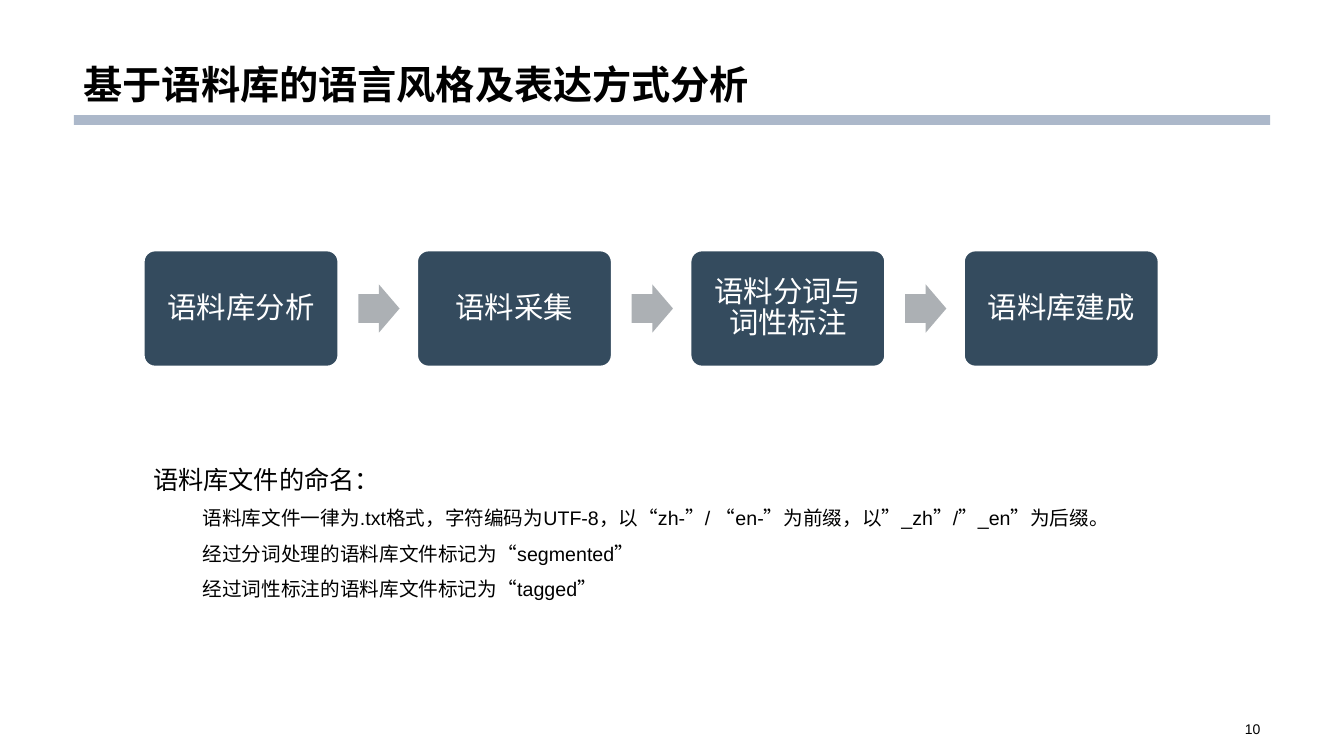
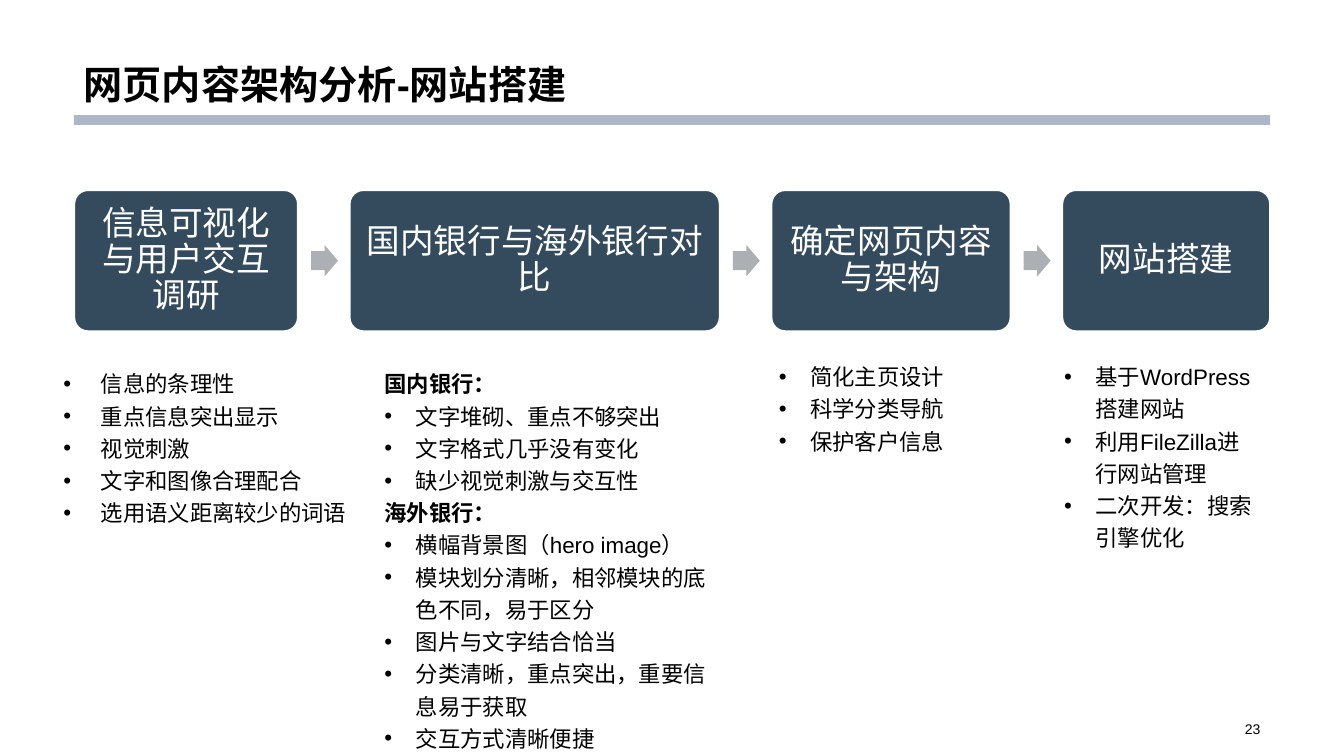
"""Build two process slides on corpus analysis and website construction."""
from lxml.etree import SubElement
from pptx import Presentation
from pptx.dml.color import RGBColor
from pptx.enum.lang import MSO_LANGUAGE_ID
from pptx.enum.shapes import MSO_SHAPE
from pptx.enum.text import MSO_ANCHOR, PP_ALIGN
from pptx.oxml.ns import qn
from pptx.util import Cm, Pt

COLOURS = {"text": "000000", "white": "FFFFFF", "band": "ACB8CA", "step": "344B5E", "arrow": "ACB0B4"}
EDGE, CONTENT_WIDTH = 1.86, 30.15

STYLES = {
    "title": {"font": {"size": Pt(28), "bold": True}, "paragraph": {"line_spacing": 0.9}},
    "page": {"font": {"size": Pt(10)}, "paragraph": {"alignment": PP_ALIGN.RIGHT}},
    "step": {"font": {"size": Pt(21)}, "colour": "white",
             "paragraph": {"line_spacing": 0.9, "alignment": PP_ALIGN.CENTER}},
    "large step": {"font": {"size": Pt(24)}, "colour": "white",
                   "paragraph": {"line_spacing": 0.9, "alignment": PP_ALIGN.CENTER}},
    "heading": {"font": {"size": Pt(18)}, "paragraph": {"line_spacing": 1.5}},
    "detail": {"font": {"size": Pt(14)}, "paragraph": {"line_spacing": 1.5}, "margin": 1.25},
    "group": {"font": {"size": Pt(16), "bold": True}, "paragraph": {"line_spacing": 1.2}},
    "bullet": {"font": {"size": Pt(16)}, "paragraph": {"line_spacing": 1.2}, "margin": 0.79, "bullet": "•"},
    "wide bullet": {"font": {"size": Pt(16)}, "paragraph": {"line_spacing": 1.2}, "margin": 0.94, "bullet": "•"},
}

SLIDES = [
    {
        "title": "基于语料库的语言风格及表达方式分析",
        "page": "10",
        "flow": {"left": 3.61, "top": 6.3, "height": 2.95, "gap": 1.96, "inset": 0.23, "style": "step"},
        "steps": [("语料库分析", 4.93), ("语料采集", 4.93), ("语料分词与词性标注", 4.93), ("语料库建成", 4.93)],
        "notes": [
            {"box": (3.61, 11.07, 27.36, 4.95), "inset": 0.25, "rows": [
                ("heading", "语料库文件的命名："),
                ("detail", "语料库文件一律为.txt格式，字符编码为UTF-8，以“zh-”/ “en-”为前缀，以”_zh”/”_en”为后缀。"),
                ("detail", "经过分词处理的语料库文件标记为“segmented”"),
                ("detail", "经过词性标注的语料库文件标记为“tagged”"),
            ]},
        ],
    },
    {
        "title": "网页内容架构分析-网站搭建",
        "page": "23",
        "flow": {"left": EDGE, "top": 4.78, "height": 3.58, "gap": 1.28, "inset": 0.25, "style": "large step"},
        "steps": [("信息可视化与用户交互调研", 5.66), ("国内银行与海外银行对比", 9.35),
                  ("确定网页内容与架构", 6.05), ("网站搭建", 5.26)],
        "notes": [
            {"box": (1.35, 9.07, 7.75, 4.29), "inset": 0.13, "rows": [
                ("wide bullet", "信息的条理性"),
                ("wide bullet", "重点信息突出显示"),
                ("wide bullet", "视觉刺激"),
                ("wide bullet", "文字和图像合理配合"),
                ("wide bullet", "选用语义距离较少的词语"),
            ]},
            {"box": (9.44, 9.07, 9.04, 9.98), "inset": 0.13, "rows": [
                ("group", "国内银行："),
                ("bullet", "文字堆砌、重点不够突出"),
                ("bullet", "文字格式几乎没有变化"),
                ("bullet", "缺少视觉刺激与交互性"),
                ("group", "海外银行："),
                ("bullet", "横幅背景图（hero image）"),
                ("bullet", "模块划分清晰，相邻模块的底色不同，易于区分"),
                ("bullet", "图片与文字结合恰当"),
                ("bullet", "分类清晰，重点突出，重要信息易于获取"),
                ("bullet", "交互方式清晰便捷"),
            ]},
            {"box": (19.38, 8.89, 7.75, 2.64), "inset": 0.13, "rows": [
                ("bullet", "简化主页设计"),
                ("bullet", "科学分类导航"),
                ("bullet", "保护客户信息"),
            ]},
            {"box": (26.57, 8.89, 5.44, 5.2), "inset": 0.13, "rows": [
                ("bullet", "基于WordPress搭建网站"),
                ("bullet", "利用FileZilla进行网站管理"),
                ("bullet", "二次开发：搜索引擎优化"),
            ]},
        ],
    },
]


def write(holder, rows, anchor, inset):
    frame = holder.text_frame
    frame_format = {"word_wrap": True, "vertical_anchor": anchor,
                    "margin_left": Cm(0.25), "margin_right": Cm(0.25),
                    "margin_top": Cm(inset), "margin_bottom": Cm(inset)}
    for name, value in frame_format.items():
        setattr(frame, name, value)
    for index, (style_name, text) in enumerate(rows):
        style = STYLES[style_name]
        paragraph = frame.add_paragraph() if index else frame.paragraphs[0]
        for name, value in style["paragraph"].items():
            setattr(paragraph, name, value)
        if "margin" in style:
            properties = paragraph._p.get_or_add_pPr()
            properties.set("marL", str(Cm(style["margin"])))
            if "bullet" in style:
                properties.set("indent", str(-Cm(style["margin"])))
                SubElement(properties, qn("a:buFont")).set("typeface", "Arial")
                SubElement(properties, qn("a:buChar")).set("char", style["bullet"])
        run = paragraph.add_run()
        run.text = text
        font_format = {"name": "Arial", "language_id": MSO_LANGUAGE_ID.SIMPLIFIED_CHINESE, **style["font"]}
        for name, value in font_format.items():
            setattr(run.font, name, value)
        run.font.color.rgb = RGBColor.from_string(COLOURS[style.get("colour", "text")])


def draw(slide, preset, box, fill, adjustments=()):
    shape = slide.shapes.add_shape(preset, *map(Cm, box))
    shape.shadow.inherit = False
    shape.fill.solid()
    shape.fill.fore_color.rgb = RGBColor.from_string(COLOURS[fill])
    shape.line.fill.background()
    for index, value in enumerate(adjustments):
        shape.adjustments[index] = value
    return shape


deck = Presentation()
deck.slide_width, deck.slide_height = Cm(33.87), Cm(19.05)

for content in SLIDES:
    slide = deck.slides.add_slide(deck.slide_layouts[6])
    draw(slide, MSO_SHAPE.RECTANGLE, (EDGE, 2.9, CONTENT_WIDTH, 0.25), "band")
    title = slide.shapes.add_textbox(*map(Cm, (EDGE, 0, CONTENT_WIDTH, 2.84)))
    write(title, [("title", content["title"])], MSO_ANCHOR.BOTTOM, 0.13)
    page = slide.shapes.add_textbox(*map(Cm, (23.93, 18.08, 8.08, 0.58)))
    write(page, [("page", content["page"])], MSO_ANCHOR.MIDDLE, 0.13)

    flow = content["flow"]
    left, top, height, gap = (flow[key] for key in ("left", "top", "height", "gap"))
    arrow_width, arrow_height = 0.53 * gap, 0.62 * gap
    for index, (label, width) in enumerate(content["steps"]):
        if index:
            arrow_box = (left - 0.75 * gap, top + (height - arrow_height) / 2, arrow_width, arrow_height)
            draw(slide, MSO_SHAPE.RIGHT_ARROW, arrow_box, "arrow", (0.6, 0.5))
        step = draw(slide, MSO_SHAPE.ROUNDED_RECTANGLE, (left, top, width, height), "step", (0.1,))
        step.line.color.rgb = RGBColor.from_string(COLOURS["white"])
        step.line.width = Pt(2)
        write(step, [(flow["style"], label)], MSO_ANCHOR.MIDDLE, flow["inset"])
        left += width + gap

    for note in content["notes"]:
        note_box = slide.shapes.add_textbox(*map(Cm, note["box"]))
        write(note_box, note["rows"], MSO_ANCHOR.TOP, note["inset"])

deck.save("out.pptx")
